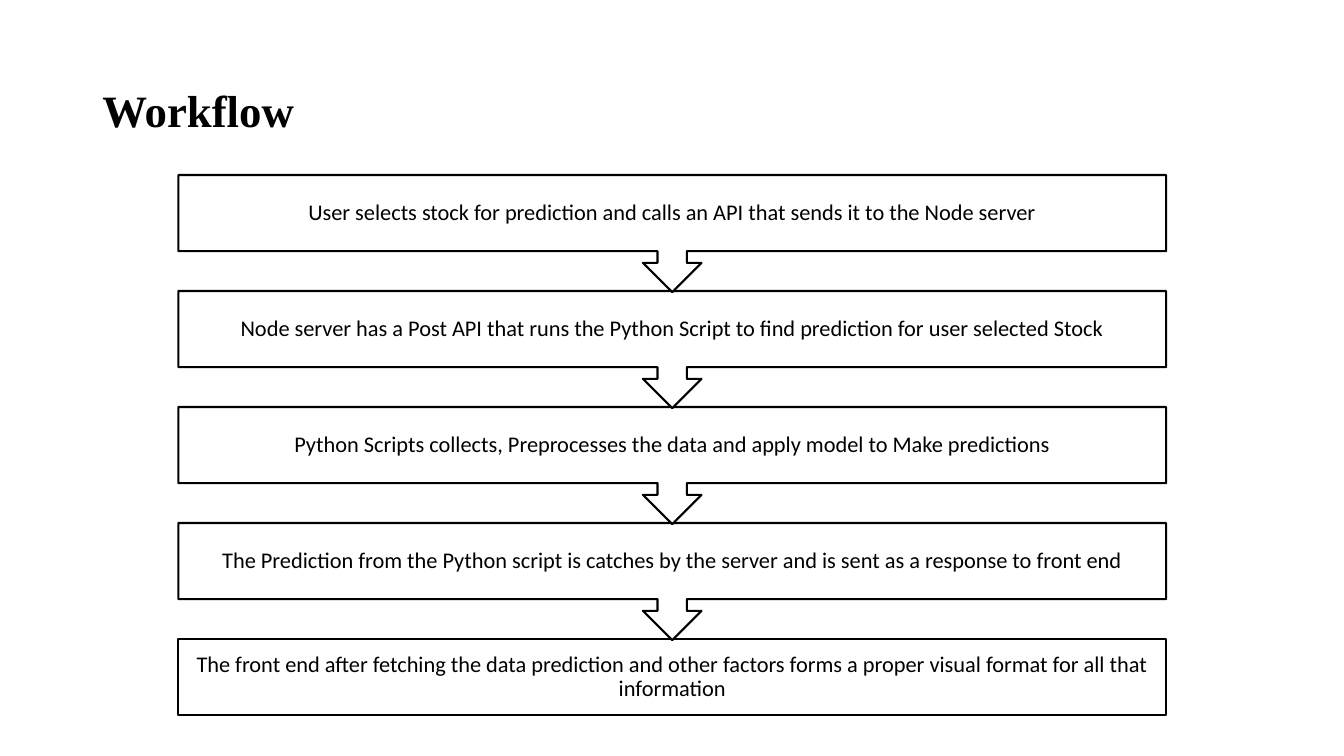
"""Build the workflow slide: a title above a chain of five steps."""
from dataclasses import dataclass

import pptx
import pptx.dml.color
import pptx.enum.shapes
import pptx.enum.text
import pptx.util

Pt = pptx.util.Pt
Shape = pptx.enum.shapes.MSO_SHAPE
Align = pptx.enum.text.PP_ALIGN
Anchor = pptx.enum.text.MSO_ANCHOR


@dataclass(frozen=True)
class Theme:
    ink: pptx.dml.color.RGBColor = pptx.dml.color.RGBColor(0, 0, 0)
    paper: pptx.dml.color.RGBColor = pptx.dml.color.RGBColor(255, 255, 255)
    title_font: str = "Times New Roman"
    step_font: str = "Calibri"
    title_size: int = 32
    step_size: int = 16
    outline: float = 1.5


THEME = Theme()

STEPS = [
    "User selects stock for prediction and calls an API that sends it to the Node server",
    "Node server has a Post API that runs the Python Script to find prediction for user selected Stock",
    "Python Scripts collects, Preprocesses the data and apply model to Make predictions",
    "The Prediction from the Python script is catches by the server and is sent as a response to front end",
    "The front end after fetching the data prediction and other factors forms a proper visual format for all that information",
]
STEP_LEFT, STEP_WIDTH = 127.4, 705.6
FIRST_TOP, STEP_PITCH = 125, 82.85
CALLOUT_HEIGHT, LAST_HEIGHT = 83.7, 54.4
STEP_INSET = 8.96


def write(frame, words, font_name, size, align, bold=False):
    frame.word_wrap = True
    frame.vertical_anchor = Anchor.MIDDLE
    paragraph = frame.paragraphs[0]
    paragraph.text = words
    paragraph.alignment = align
    paragraph.line_spacing = 0.9
    paragraph.font.name = font_name
    paragraph.font.size = Pt(size)
    paragraph.font.bold = bold
    paragraph.font.color.rgb = THEME.ink


def add_title(slide, words):
    title = slide.shapes.add_textbox(Pt(66), Pt(28.8), Pt(828), Pt(104.4))
    write(title.text_frame, words, THEME.title_font, THEME.title_size, Align.LEFT, bold=True)


def add_step(slide, words, top, kind, height):
    step = slide.shapes.add_shape(kind, Pt(STEP_LEFT), Pt(top), Pt(STEP_WIDTH), Pt(height))
    step.shadow.inherit = False
    step.fill.solid()
    step.fill.fore_color.rgb = THEME.paper
    step.line.color.rgb = THEME.ink
    step.line.width = Pt(THEME.outline)
    frame = step.text_frame
    frame.margin_left = frame.margin_right = Pt(STEP_INSET)
    frame.margin_top = frame.margin_bottom = Pt(STEP_INSET)
    write(frame, words, THEME.step_font, THEME.step_size, Align.CENTER)


def add_workflow(slide, steps):
    last = len(steps) - 1
    for index in range(last, -1, -1):
        if index == last:
            kind, height = Shape.RECTANGLE, LAST_HEIGHT
        else:
            kind, height = Shape.DOWN_ARROW_CALLOUT, CALLOUT_HEIGHT
        add_step(slide, steps[index], FIRST_TOP + index * STEP_PITCH, kind, height)


def main():
    deck = pptx.Presentation()
    deck.slide_width, deck.slide_height = Pt(960), Pt(540)
    slide = deck.slides.add_slide(deck.slide_layouts[6])
    add_title(slide, "Workflow")
    add_workflow(slide, STEPS)
    deck.save("out.pptx")


if __name__ == "__main__":
    main()
